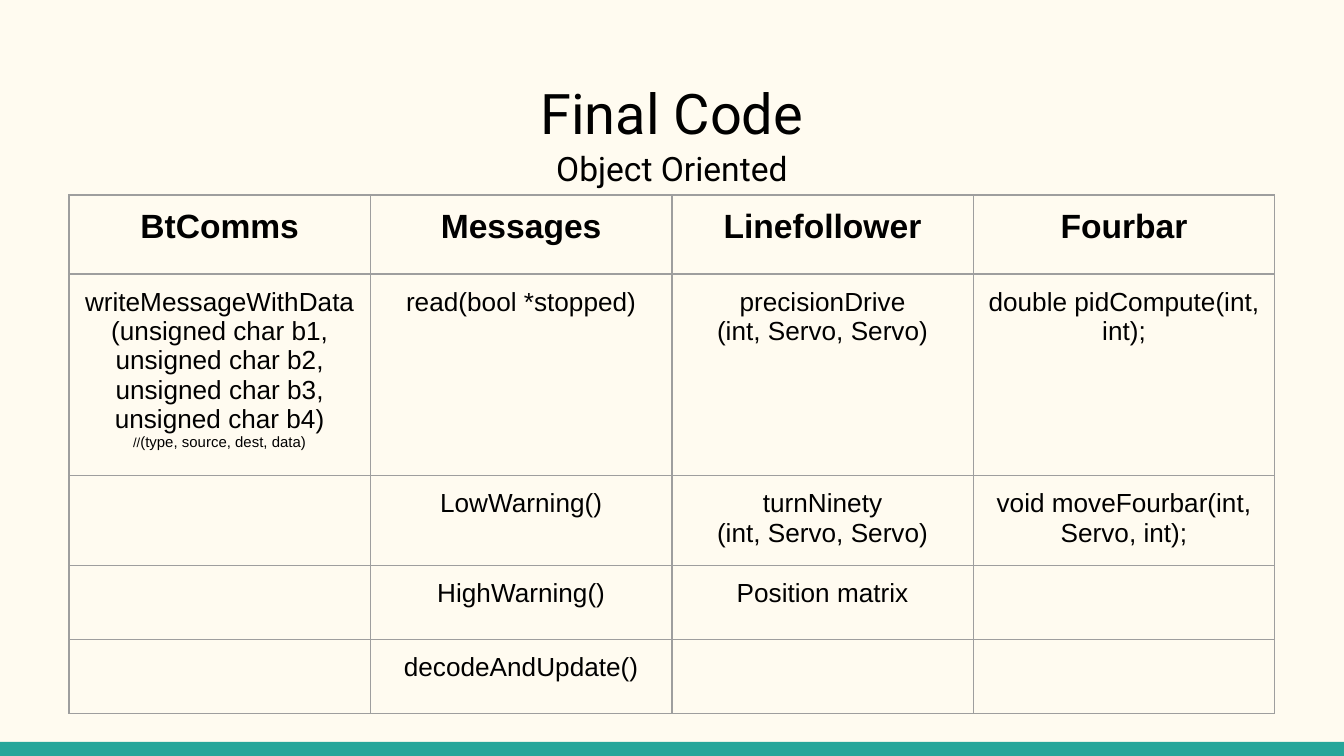
import pptx
import pptx.util
import pptx.dml.color
import pptx.enum.shapes
import pptx.enum.text
import pptx.oxml
import pptx.oxml.ns

PX = 914400 / 134.4
INK, LINE, PAPER, TEAL = "000000", "9E9E9E", "FFFBF0", "26A69A"

# text, size, top, height, line spacing
HEADS = [
    ("Final Code", 30, 65, 90, 1.0),
    ("Object Oriented", 18, 128, 500, 1.15),
]

# Each cell is a list of paragraphs, each paragraph a list of (text, size) runs
NAMES = ["BtComms", "Messages", "Linefollower", "Fourbar"]
ARGS = [("(int, Servo, Servo)", 14)]
WRITE = ("writeMessageWithData(unsigned char b1, unsigned char b2, "
         "unsigned char b3, unsigned char b4)")
CELLS = [
    [[[(name, 18)]] for name in NAMES],
    [
        [[(WRITE, 14)], [("//", 7), ("(type, source, dest, data)", 8)]],
        [[("read(bool *stopped)", 14)]],
        [[("precisionDrive", 14)], ARGS],
        [[("double pidCompute(int, int);", 14)]],
    ],
    [
        [],
        [[("LowWarning()", 14)]],
        [[("turnNinety", 14)], ARGS],
        [[("void moveFourbar(int, Servo, int);", 14)]],
    ],
    [[], [[("HighWarning()", 14)]], [[("Position matrix", 14)]], []],
    [[], [[("decodeAndUpdate()", 14)]], [], []],
]
LEFT, TOP, WIDE = 69, 195, 1206
ROWS = [79, 190, 86, 74, 74]


def px(n):
    return pptx.util.Emu(round(n * PX))


def rgb(code):
    return pptx.dml.color.RGBColor.from_string(code)


def write(frame, paras, face, bold=False, space=1.0):
    for i, runs in enumerate(paras):
        para = frame.add_paragraph() if i else frame.paragraphs[0]
        para.alignment = pptx.enum.text.PP_ALIGN.CENTER
        para.line_spacing = space
        for text, size in runs:
            run = para.add_run()
            run.text = text
            run.font.name = face
            run.font.size = pptx.util.Pt(size)
            run.font.bold = bold
            run.font.color.rgb = rgb(INK)


def inset(box):
    """Set equal margins on a cell or a text frame."""
    for side in ("left", "top", "right", "bottom"):
        setattr(box, "margin_" + side, pptx.util.Inches(0.1))


def edge(cell):
    """Draw the four borders; they must come before the cell's fill."""
    props = cell._tc.get_or_add_tcPr()
    for i, tag in enumerate(("lnL", "lnR", "lnT", "lnB")):
        props.insert(i, pptx.oxml.parse_xml(
            f'<a:{tag} {pptx.oxml.ns.nsdecls("a")} w="9525"><a:solidFill>'
            f'<a:srgbClr val="{LINE}"/></a:solidFill></a:{tag}>'))


deck = pptx.Presentation()
deck.slide_width, deck.slide_height = px(1344), px(756)
slide = deck.slides.add_slide(deck.slide_layouts[6])
slide.background.fill.solid()
slide.background.fill.fore_color.rgb = rgb(PAPER)

bar = slide.shapes.add_shape(
    pptx.enum.shapes.MSO_SHAPE.RECTANGLE, 0, px(742), px(1344), px(14))
bar.shadow.inherit = False
bar.fill.solid()
bar.fill.fore_color.rgb = rgb(TEAL)
bar.line.fill.background()

for text, size, top, high, space in HEADS:
    frame = slide.shapes.add_textbox(
        px(46), px(top), px(1252), px(high)).text_frame
    frame.word_wrap = True
    inset(frame)
    write(frame, [[(text, size)]], "Roboto", space=space)

grid = slide.shapes.add_table(
    len(CELLS), len(NAMES), px(LEFT), px(TOP), px(WIDE), px(sum(ROWS))).table
grid.first_row = grid.horz_banding = False
for col in grid.columns:
    col.width = px(WIDE / len(NAMES))
for r, (high, line) in enumerate(zip(ROWS, CELLS)):
    grid.rows[r].height = px(high)
    for c, paras in enumerate(line):
        cell = grid.cell(r, c)
        inset(cell)
        cell.fill.background()
        edge(cell)
        write(cell.text_frame, paras, "Arial", bold=r == 0)

deck.save("out.pptx")
